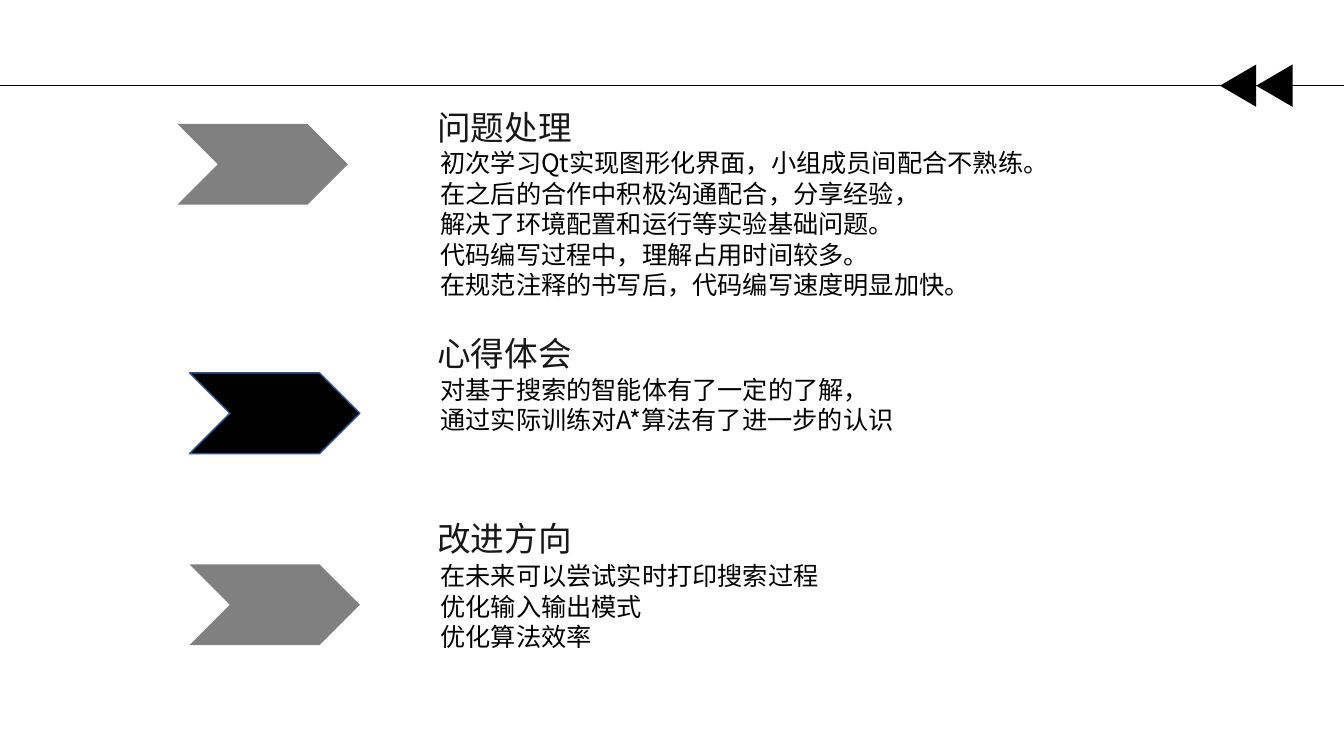
import pptx
import pptx.dml.color
import pptx.enum.shapes
import pptx.enum.text
import pptx.oxml.ns
import pptx.util

Inches = pptx.util.Inches
Shapes = pptx.enum.shapes.MSO_SHAPE
Align = pptx.enum.text.PP_ALIGN


def rgb(value):
    return pptx.dml.color.RGBColor.from_string(value)


def write(frame, text, size, color, font, align=Align.LEFT, spacing=1.21):
    """Fill a text frame, one paragraph for each line of text."""
    for number, line in enumerate(text.split("\n")):
        paragraph = frame.paragraphs[0] if number == 0 else frame.add_paragraph()
        paragraph.alignment = align
        paragraph.line_spacing = pptx.util.Pt(round(size * spacing, 1))
        run = paragraph.add_run()
        run.text = line
        run.font.size = pptx.util.Pt(size)
        run.font.color.rgb = rgb(color)
        run.font.name = font
        east_asian = run.font._element.makeelement(
            pptx.oxml.ns.qn("a:ea"), {"typeface": font})
        run.font._element.find(pptx.oxml.ns.qn("a:latin")).addnext(east_asian)


class SlideBuilder:
    font = "Noto Sans CJK SC"
    black = "000000"
    heading_color = "181717"

    def __init__(self, slide):
        self.slide = slide

    def text(self, text, box, wrap=True, **style):
        frame = self.slide.shapes.add_textbox(*map(Inches, box)).text_frame
        frame.word_wrap = wrap
        frame.auto_size = pptx.enum.text.MSO_AUTO_SIZE.SHAPE_TO_FIT_TEXT
        write(frame, text, font=self.font, **style)

    def heading(self, text, top):
        self.text(text, (4.23, top, 1.55, 0.5), wrap=False,
                  size=24, color=self.heading_color, align=Align.CENTER)

    def body(self, text, top, height):
        self.text(text, (4.27, top, 7.19, height), size=18, color=self.black)

    def shape(self, kind, box, fill, outline=None, rotation=0, parent=None):
        shape = (parent or self.slide).shapes.add_shape(kind, *map(Inches, box))
        shape.shadow.inherit = False
        shape.rotation = rotation
        shape.fill.solid()
        shape.fill.fore_color.rgb = rgb(fill)
        if outline:
            shape.line.color.rgb = rgb(outline)
            shape.line.width = pptx.util.Pt(1)
        else:
            shape.line.fill.background()

    def rule(self, top, width, parent):
        line = parent.shapes.add_connector(
            pptx.enum.shapes.MSO_CONNECTOR.STRAIGHT,
            0, Inches(top), Inches(width), Inches(top))
        line.line.color.rgb = rgb(self.black)
        line.line.width = pptx.util.Pt(0.5)
        properties = line._element.spPr
        properties.append(properties.makeelement(pptx.oxml.ns.qn("a:effectLst"), {}))


# chevron left, top, fill, outline; heading, top; body, top, height
SECTIONS = [
    ((1.76, 1.23, "808080", None), ("问题处理", 1.01),
     ("初次学习Qt实现图形化界面，小组成员间配合不熟练。\n"
      "在之后的合作中积极沟通配合，分享经验，\n"
      "解决了环境配置和运行等实验基础问题。\n"
      "代码编写过程中，理解占用时间较多。\n"
      "在规范注释的书写后，代码编写速度明显加快。", 1.41, 1.62)),
    ((1.88, 3.7, "000000", "325491"), ("心得体会", 3.25),
     ("对基于搜索的智能体有了一定的了解，\n"
      "通过实际训练对A*算法有了进一步的认识", 3.66, 0.71)),
    ((1.88, 5.6, "808080", None), ("改进方向", 5.09),
     ("在未来可以尝试实时打印搜索过程\n"
      "优化输入输出模式\n"
      "优化算法效率", 5.51, 1.01)),
]


def main():
    deck = pptx.Presentation()
    deck.slide_width, deck.slide_height = Inches(13.33), Inches(7.5)
    builder = SlideBuilder(deck.slides.add_slide(deck.slide_layouts[6]))

    # Top rule with two arrowheads pointing left
    header = builder.slide.shapes.add_group_shape()
    builder.rule(0.85, 13.33, header)
    for left in (12.43, 12.07):
        builder.shape(Shapes.ISOSCELES_TRIANGLE, (left, 0.67, 0.42, 0.36),
                      builder.black, rotation=270, parent=header)

    # Three sections
    for (left, top, fill, outline), heading, body in SECTIONS:
        builder.shape(Shapes.CHEVRON, (left, top, 1.69, 0.8), fill, outline)
        builder.heading(*heading)
        builder.body(*body)

    deck.save("out.pptx")


if __name__ == "__main__":
    main()
